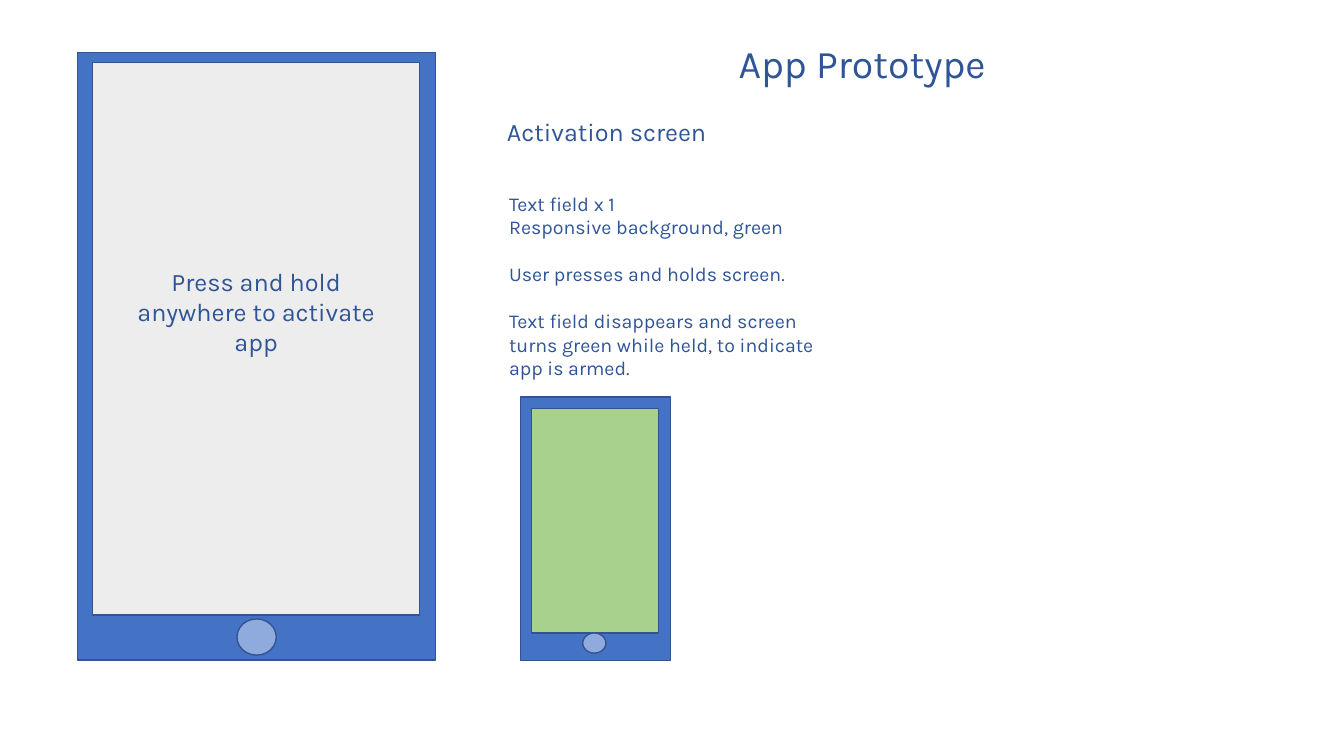
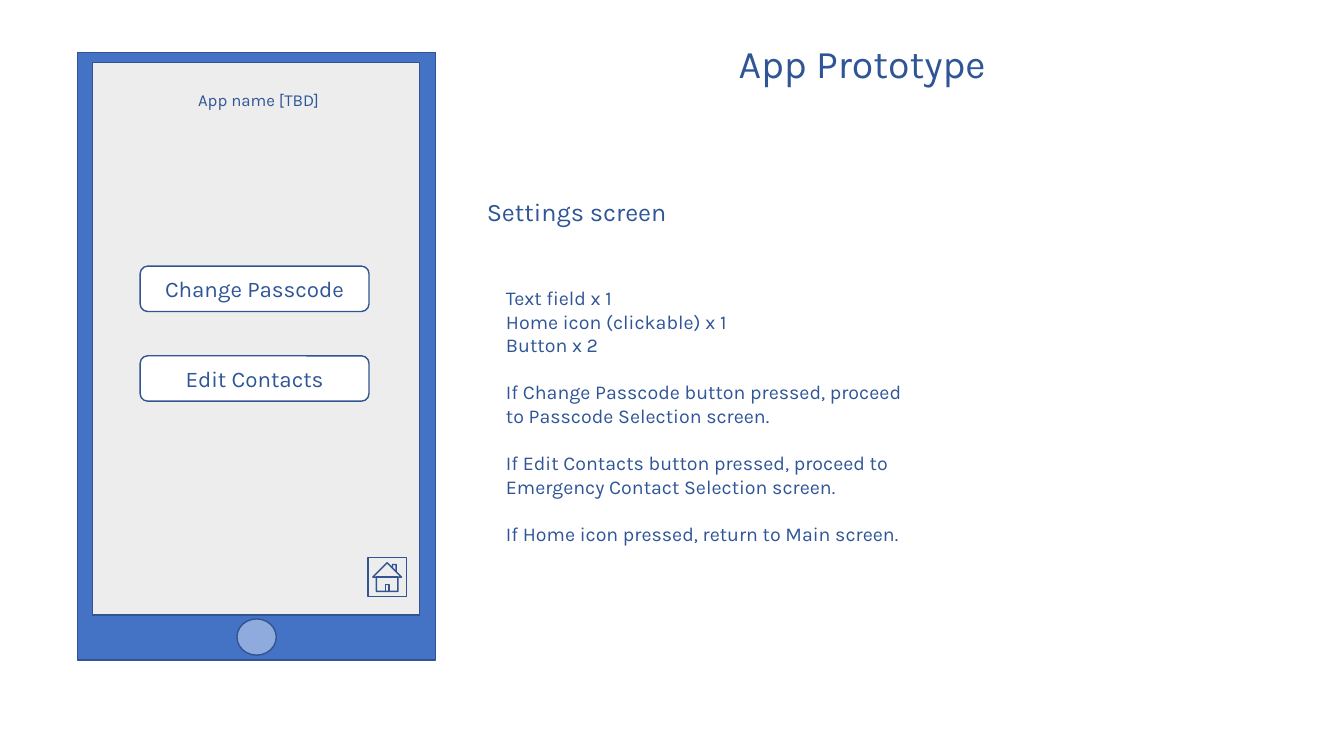
from pptx import Presentation
from pptx import util as u
from pptx.dml.color import RGBColor
from pptx.enum import shapes, text

BLUE = RGBColor(0x44, 0x72, 0xC4)
EDGE = RGBColor(0x32, 0x54, 0x91)
INK = RGBColor(0x2F, 0x55, 0x97)
HOME = RGBColor(0x8F, 0xAA, 0xDC)
GREY = RGBColor(0xED, 0xED, 0xED)
GREEN = RGBColor(0xA9, 0xD1, 0x8E)
WHITE = RGBColor(0xFF, 0xFF, 0xFF)
FONT = "Karla"
GAP = u.Pt(16.8)
SHAPE = shapes.MSO_SHAPE
LEFT, CENTER = text.PP_ALIGN.LEFT, text.PP_ALIGN.CENTER


class Deck:
    """Shared style and the slide being drawn."""

    def __init__(self):
        self.prs = Presentation()
        self.prs.slide_width = u.Inches(13.33)
        self.prs.slide_height = u.Inches(7.5)

    def slide(self):
        self.s = self.prs.slides.add_slide(self.prs.slide_layouts[6])
        self.phone((0.77, 0.52, 3.55, 6.03), (0.92, 0.62, 3.24, 5.48),
                   (2.35, 6.14, 0.39, 0.36), GREY)
        self.label((5.71, 0.34, 5.68, 0.57), "App Prototype", 28, CENTER)

    def shape(self, kind, box, fill=None):
        sp = self.s.shapes.add_shape(kind, *map(u.Inches, box))
        sp.shadow.inherit = False
        if fill is None:
            sp.fill.background()
        else:
            sp.fill.solid()
            sp.fill.fore_color.rgb = fill
        sp.line.color.rgb = EDGE
        sp.line.width = u.Pt(1)
        return sp

    def phone(self, case, screen, button, color):
        self.shape(SHAPE.RECTANGLE, case, BLUE)
        self.shape(SHAPE.RECTANGLE, screen, color)
        self.shape(SHAPE.OVAL, button, HOME)

    def add_text(self, p, words, size, align):
        p.alignment = align
        r = p.add_run()
        r.text = words
        r.font.name = FONT
        r.font.size = u.Pt(size)
        r.font.color.rgb = INK

    def button(self, box, words):
        tf = self.shape(SHAPE.ROUNDED_RECTANGLE, box, WHITE).text_frame
        tf.vertical_anchor = text.MSO_ANCHOR.MIDDLE
        self.add_text(tf.paragraphs[0], words, 16, CENTER)

    def textbox(self, box):
        tf = self.s.shapes.add_textbox(*map(u.Inches, box)).text_frame
        tf.word_wrap = True
        return tf

    def label(self, box, words, size, align=LEFT):
        self.add_text(self.textbox(box).paragraphs[0], words, size, align)

    def details(self, box, groups):
        tf = self.textbox(box)
        p = tf.paragraphs[0]
        for g, group in enumerate(groups):
            for i, line in enumerate(group):
                if g or i:
                    p = tf.add_paragraph()
                if g and i == 0:
                    p.space_before = GAP
                self.add_text(p, line, 14, LEFT)


deck = Deck()

deck.slide()
deck.label((4.93, 1.11, 3.74, 0.4), "Activation screen", 18)
deck.details((4.95, 1.85, 3.42, 2.22), [
    ["Text field x 1", "Responsive background, green"],
    ["User presses and holds screen."],
    ["Text field disappears and screen turns green while held, "
     "to indicate app is armed."],
])
deck.label((1.05, 2.59, 2.98, 1.01),
           "Press and hold anywhere to activate app", 18, CENTER)
deck.phone((5.16, 3.94, 1.49, 2.61), (5.27, 4.05, 1.26, 2.23),
           (5.78, 6.28, 0.23, 0.2), GREEN)

deck.slide()
deck.label((4.73, 1.9, 4.7, 0.4), "Settings screen", 18)
deck.details((4.92, 2.79, 4.3, 2.93), [
    ["Text field x 1", "Home icon (clickable) x 1", "Button x 2"],
    ["If Change Passcode button pressed, proceed to Passcode "
     "Selection screen."],
    ["If Edit Contacts button pressed, proceed to Emergency Contact "
     "Selection screen."],
    ["If Home icon pressed, return to Main screen."],
])
deck.label((1.08, 0.84, 2.97, 0.3), "App name [TBD]", 12, CENTER)
for i, words in enumerate(["Change Passcode", "Edit Contacts"]):
    deck.button((1.39, 2.64 + 0.89 * i, 2.27, 0.45), words)
deck.shape(SHAPE.ACTION_BUTTON_HOME, (3.65, 5.53, 0.38, 0.39))

deck.prs.save("out.pptx")
